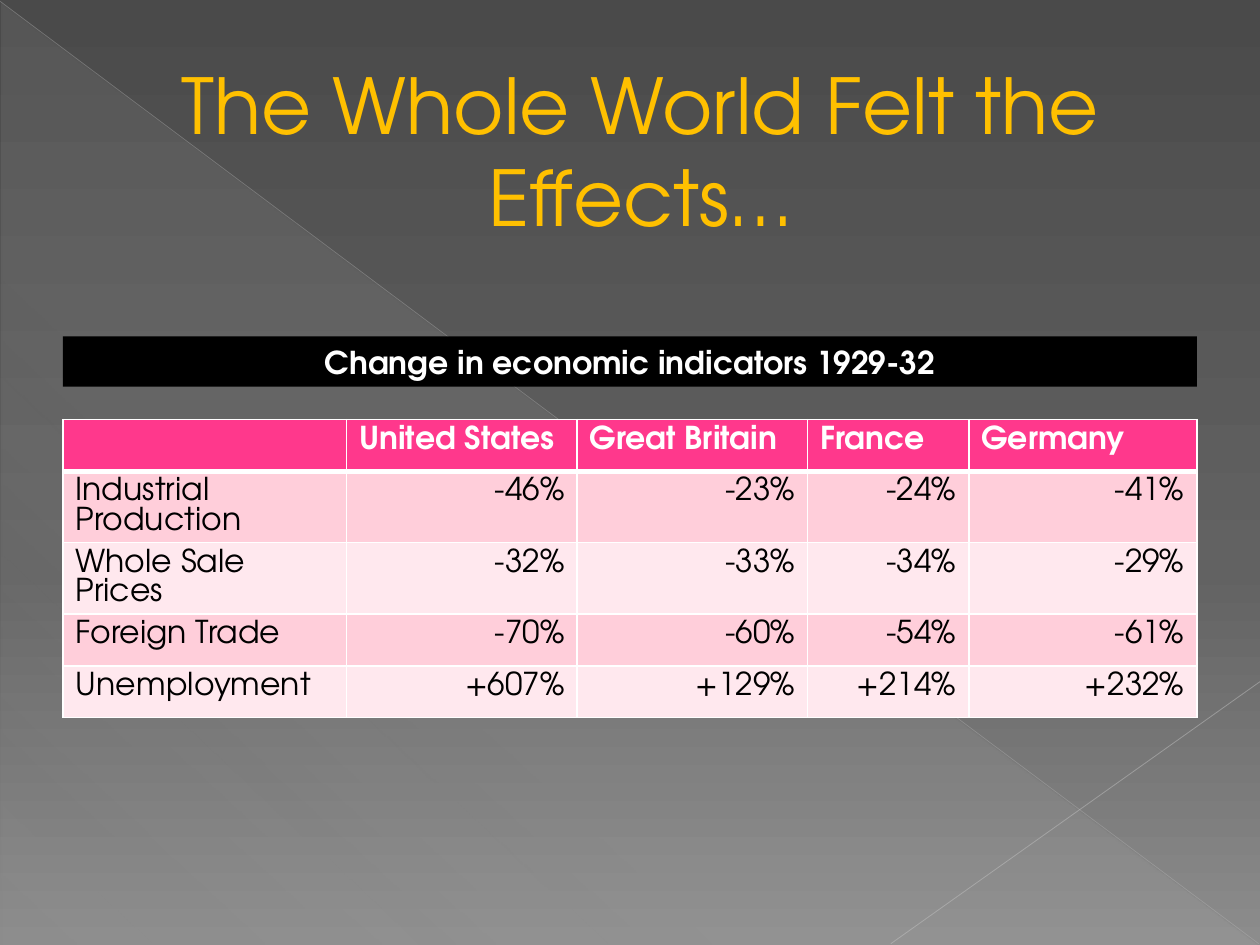
from dataclasses import dataclass

from lxml import etree
from pptx import Presentation
from pptx.dml.color import RGBColor
from pptx.enum.shapes import MSO_CONNECTOR, MSO_SHAPE
from pptx.enum.text import MSO_ANCHOR, MSO_AUTO_SIZE, PP_ALIGN
from pptx.oxml.ns import qn
from pptx.util import Inches, Pt

LEFT, CENTER, RIGHT = PP_ALIGN.LEFT, PP_ALIGN.CENTER, PP_ALIGN.RIGHT
MIDDLE = MSO_ANCHOR.MIDDLE
GROW = MSO_AUTO_SIZE.SHAPE_TO_FIT_TEXT
RECTANGLE, TRIANGLE = MSO_SHAPE.RECTANGLE, MSO_SHAPE.RIGHT_TRIANGLE
STRAIGHT = MSO_CONNECTOR.STRAIGHT
TITLE_ONLY = 5


@dataclass(frozen=True)
class Theme:
    font: str = "TeX Gyre Adventor"
    title_size: int = 44
    body_size: int = 18
    title: str = "FFC000"
    light: str = "FFFFFF"
    dark: str = "000000"
    header: str = "FF388C"
    bands: tuple = ("FFCEDA", "FFE8EE")
    # Gradient stops: position, colour, opacity in percent
    backdrop: tuple = ((0, "4A4A4A", 100), (60, "626262", 100), (100, "8C8C8C", 100))
    sheen: tuple = ((0, "D2D2D2", 10), (70, "D2D2D2", 8), (100, "D2D2D2", 1))


THEME = Theme()
WIDTH, HEIGHT = 10, 7.5
MARGIN = 0.5
COLUMN_WIDTHS = (2.25, 1.83, 1.83, 1.28, 1.81)
ROW_HEIGHT = 0.41
INDICATORS = (
    ("", "United States", "Great Britain", "France", "Germany"),
    ("Industrial Production", "-46%", "-23%", "-24%", "-41%"),
    ("Whole Sale Prices", "-32%", "-33%", "-34%", "-29%"),
    ("Foreign Trade", "-70%", "-60%", "-54%", "-61%"),
    ("Unemployment", "+607%", "+129%", "+214%", "+232%"),
)


def inches(*lengths):
    return [Inches(length) for length in lengths]


def add_child(parent, tag, **attributes):
    return etree.SubElement(parent, qn(tag), attributes)


def add_color(parent, color, opacity=100):
    node = add_child(parent, "a:srgbClr", val=color)
    if opacity < 100:
        add_child(node, "a:alpha", val=str(opacity * 1000))


def paint_gradient(fill, owner, stops, angle):
    """Give the fill inside the owner element any number of stops."""
    fill.gradient()
    gradient = owner.find(".//" + qn("a:gradFill"))
    for child in list(gradient):
        gradient.remove(child)
    stop_list = add_child(gradient, "a:gsLst")
    for position, color, opacity in stops:
        stop = add_child(stop_list, "a:gs", pos=str(position * 1000))
        add_color(stop, color, opacity)
    add_child(gradient, "a:lin", ang=str(angle * 60000), scaled="0")


def write(frame, text, color, size=THEME.body_size, bold=False, align=LEFT):
    para = frame.paragraphs[0]
    para.alignment = align
    para.line_spacing = 1.0
    span = para.add_run()
    span.text = text
    font = span.font
    font.name, font.size, font.bold = THEME.font, Pt(size), bold
    font.color.rgb = RGBColor.from_string(color)


def add_ray(page, start, end, color, width, opacity):
    ray = page.shapes.add_connector(STRAIGHT, *inches(*start, *end))
    ray.line.width = Pt(width)
    ray.line.color.rgb = RGBColor.from_string(color)
    node = ray._element.spPr.find(".//" + qn("a:srgbClr"))
    add_child(node, "a:alpha", val=str(opacity * 1000))
    add_child(ray._element.spPr, "a:effectLst")


def add_backdrop(page):
    paint_gradient(page.background.fill, page._element, THEME.backdrop, 90)
    sheen = page.shapes.add_shape(TRIANGLE, *inches(0.01, 0.02, 9.98, 7.48))
    sheen.shadow.inherit = False
    sheen.line.fill.background()
    paint_gradient(sheen.fill, sheen._element, THEME.sheen, 133)
    add_ray(page, (0, 0.01), (9.99, 7.49), "BFBFBF", 0.39, 35)
    add_ray(page, (WIDTH, 5.41), (7.07, 7.49), "C6C6C6", 0.47, 45)


def add_title(page, text):
    title = page.shapes.title
    title.left, title.top, title.width, title.height = inches(1.17, 0.4, 7.83, 1.58)
    frame = title.text_frame
    frame.word_wrap, frame.auto_size, frame.vertical_anchor = True, GROW, MIDDLE
    write(frame, text, THEME.title, THEME.title_size, align=CENTER)
    page.shapes._spTree.append(title._element)  # in front of the backdrop


def add_banner(page, text):
    banner = page.shapes.add_shape(
        RECTANGLE, *inches(MARGIN, 2.67, WIDTH - 2 * MARGIN, 0.4))
    banner.shadow.inherit = False
    banner.fill.solid()
    banner.fill.fore_color.rgb = RGBColor.from_string(THEME.dark)
    banner.line.fill.background()
    frame = banner.text_frame
    frame.word_wrap, frame.auto_size, frame.vertical_anchor = True, GROW, MIDDLE
    write(frame, text, THEME.light, bold=True, align=CENTER)


def set_borders(cell, **widths):
    """Draw the four cell borders; they must come before the fill."""
    properties = cell._tc.get_or_add_tcPr()
    for side in "LRTB":
        width = Pt(widths.get(side, 1))
        line = add_child(properties, f"a:ln{side}", w=str(width))
        add_color(add_child(line, "a:solidFill"), THEME.light)


def add_indicator_table(page):
    frame = page.shapes.add_table(
        len(INDICATORS), len(COLUMN_WIDTHS),
        *inches(MARGIN, 3.33, sum(COLUMN_WIDTHS), ROW_HEIGHT * len(INDICATORS)))
    table = frame.table
    for column, width in zip(table.columns, COLUMN_WIDTHS):
        column.width = Inches(width)
    for r, values in enumerate(INDICATORS):
        table.rows[r].height = Inches(ROW_HEIGHT)
        is_header = r == 0
        fill = THEME.header if is_header else THEME.bands[(r - 1) % 2]
        edges = {0: {"B": 3}, 1: {"T": 3}}.get(r, {})
        for c, value in enumerate(values):
            cell = table.cell(r, c)
            set_borders(cell, **edges)
            cell.fill.solid()
            cell.fill.fore_color.rgb = RGBColor.from_string(fill)
            if value:
                write(cell.text_frame, value,
                      THEME.light if is_header else THEME.dark, bold=is_header,
                      align=LEFT if is_header or c == 0 else RIGHT)


def main():
    deck = Presentation()
    deck.slide_width, deck.slide_height = inches(WIDTH, HEIGHT)
    page = deck.slides.add_slide(deck.slide_layouts[TITLE_ONLY])
    add_backdrop(page)
    add_indicator_table(page)
    add_banner(page, "Change in economic indicators 1929-32")
    add_title(page, "The Whole World Felt the Effects…")
    deck.save("out.pptx")


if __name__ == "__main__":
    main()
